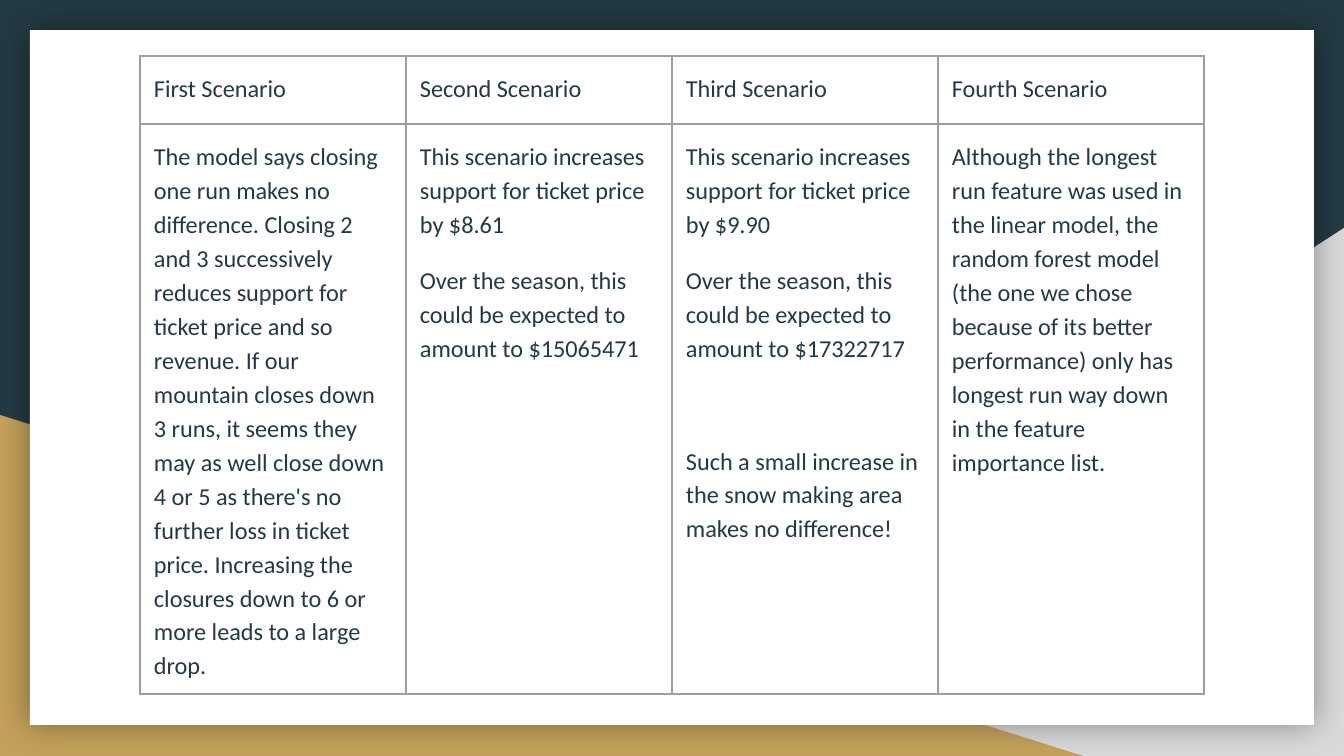
from pptx import Presentation
from pptx.dml.color import RGBColor
from pptx.enum.shapes import MSO_SHAPE
from pptx.oxml import parse_xml
from pptx.oxml.ns import nsdecls
from pptx.util import Pt

PX = 914400 / 134.4  # EMU per pixel
THEME = {
    "dark": "233A44", "grey": "D9D9D9", "gold": "C4A15A", "card": "FFFFFF",
    "border": "9E9E9E", "font": "Calibri", "size": 13,
}


def px(n):
    return round(n * PX)


def add_block(shapes, kind, box, color):
    sp = shapes.add_shape(kind, *map(px, box))
    sp.shadow.inherit = False
    sp.fill.solid()
    sp.fill.fore_color.rgb = RGBColor.from_string(THEME[color])
    sp.line.fill.background()
    return sp


prs = Presentation()
prs.slide_width, prs.slide_height = px(1344), px(756)
s = prs.slides.add_slide(prs.slide_layouts[6])

# Background and corner triangles
s.background.fill.solid()
s.background.fill.fore_color.rgb = RGBColor.from_string(THEME["dark"])
corner = add_block(s.shapes, MSO_SHAPE.RIGHT_TRIANGLE, (527, 228, 817, 528), "grey")
corner._element.spPr.xfrm.set("flipH", "1")
add_block(s.shapes, MSO_SHAPE.RIGHT_TRIANGLE, (0, 415, 1083, 341), "gold")

# White card with a soft shadow
card = add_block(s.shapes, MSO_SHAPE.RECTANGLE, (30, 30, 1284, 695), "card")
spPr = card._element.spPr
spPr.remove(spPr.find("{*}effectLst"))
spPr.append(parse_xml(
    f'<a:effectLst {nsdecls("a")}><a:outerShdw blurRad="{Pt(18)}" dist="0" dir="0" '
    'algn="ctr" rotWithShape="0"><a:srgbClr val="000000"><a:alpha val="40000"/>'
    '</a:srgbClr></a:outerShdw></a:effectLst>'))

# Scenarios: heading, then paragraphs as (space before in points, text)
scenarios = [
    ("First Scenario", [
        (0, "The model says closing one run makes no difference. Closing 2 and 3 "
            "successively reduces support for ticket price and so revenue. If our "
            "mountain closes down 3 runs, it seems they may as well close down 4 or 5 "
            "as there's no further loss in ticket price. Increasing the closures down "
            "to 6 or more leads to a large drop.")]),
    ("Second Scenario", [
        (0, "This scenario increases support for ticket price by $8.61"),
        (12, "Over the season, this could be expected to amount to $15065471")]),
    ("Third Scenario", [
        (0, "This scenario increases support for ticket price by $9.90"),
        (12, "Over the season, this could be expected to amount to $17322717"),
        (42, "Such a small increase in the snow making area makes no difference!")]),
    ("Fourth Scenario", [
        (0, "Although the longest run feature was used in the linear model, the random "
            "forest model (the one we chose because of its better performance) only has "
            "longest run way down in the feature importance list.")]),
]

# Table, one column per scenario
col_w, row_heights = 266, (68, 570)
table = s.shapes.add_table(
    2, len(scenarios), px(140), px(56),
    px(col_w * len(scenarios)), px(sum(row_heights))).table
table.first_row = table.horz_banding = False
for row, height in zip(table.rows, row_heights):
    row.height = px(height)

for c, (heading, body) in enumerate(scenarios):
    table.columns[c].width = px(col_w)
    for r, paragraphs in enumerate(([(0, heading)], body)):
        cell = table.cell(r, c)
        cell.margin_left = cell.margin_right = cell.margin_top = px(14)
        cell.margin_bottom = px(12)

        # Borders go before the fill in the cell properties
        tcPr = cell._tc.get_or_add_tcPr()
        for side in ("lnL", "lnR", "lnT", "lnB"):
            tcPr.append(parse_xml(
                f'<a:{side} {nsdecls("a")} w="{Pt(0.75)}"><a:solidFill>'
                f'<a:srgbClr val="{THEME["border"]}"/></a:solidFill></a:{side}>'))
        cell.fill.background()

        tf = cell.text_frame
        tf.text = "\n".join(text for _, text in paragraphs)
        for p, (space, _) in zip(tf.paragraphs, paragraphs):
            p.line_spacing = 1.15
            p.space_before = Pt(space)
            font = p.runs[0].font
            font.name = THEME["font"]
            font.size = Pt(THEME["size"])
            font.color.rgb = RGBColor.from_string(THEME["dark"])

prs.save("out.pptx")
